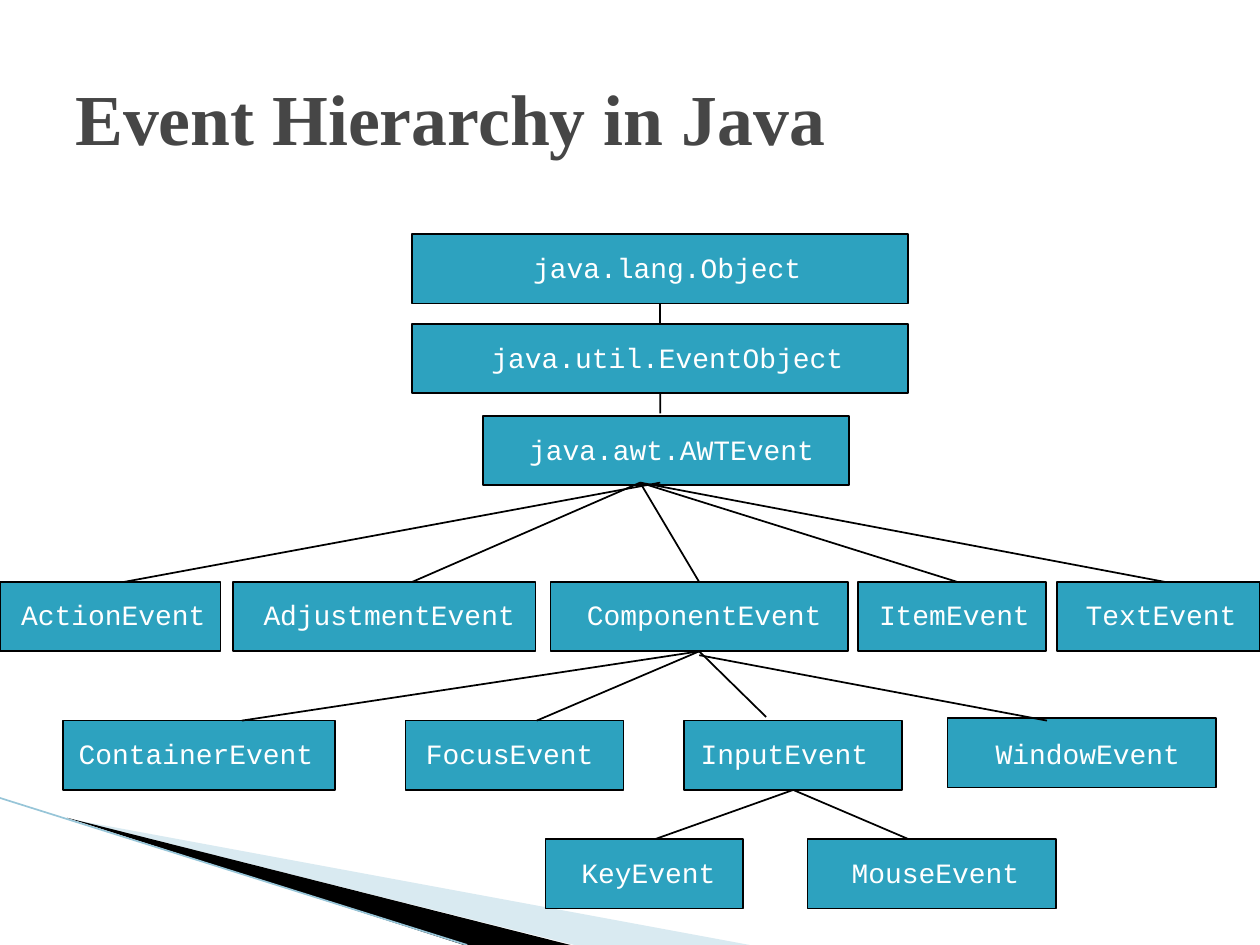
"""Build a slide with the event class hierarchy of Java."""
from dataclasses import dataclass

from lxml import etree
from pptx import Presentation
from pptx.dml.color import RGBColor
from pptx.enum.shapes import MSO_CONNECTOR, MSO_SHAPE
from pptx.enum.text import MSO_ANCHOR, PP_ALIGN
from pptx.oxml.ns import qn
from pptx.util import Pt

RECT = MSO_SHAPE.RECTANGLE
LINE = MSO_CONNECTOR.STRAIGHT
MID, TOP = MSO_ANCHOR.MIDDLE, MSO_ANCHOR.TOP
LEFT, MIDDLE = PP_ALIGN.LEFT, PP_ALIGN.CENTER
UP, DOWN = 0, 2


@dataclass(frozen=True)
class Theme:
    ink: str = "000000"
    box: str = "2DA2BF"
    pale: str = "A0CBDC"
    edge: str = "97C5D8"
    head: str = "464646"
    text: str = "FFFFFF"
    serif: str = "Times New Roman"
    mono: str = "Courier New"
    big: float = 41
    small: float = 16
    thin: float = 1
    tall: float = 39.6


class Deck:
    def __init__(self, theme):
        self.theme = theme
        self.file = Presentation()
        self.file.slide_width, self.file.slide_height = Pt(720), Pt(540)
        self.slide = self.file.slides.add_slide(self.file.slide_layouts[6])
        self.items = self.slide.shapes

    def paint(self, shape, color):
        shape.shadow.inherit = False
        shape.fill.solid()
        shape.fill.fore_color.rgb = RGBColor.from_string(color)

    def wedge(self, points, color, alpha=None):
        first, *rest = [(Pt(x), Pt(y)) for x, y in points]
        pen = self.items.build_freeform(*first, scale=1.0)
        pen.add_line_segments(rest)
        shape = pen.convert_to_shape()
        self.paint(shape, color)
        shape.line.fill.background()
        if alpha:
            tone = shape._element.spPr.find(qn("a:solidFill"))[0]
            etree.SubElement(tone, qn("a:alpha"), val=str(alpha * 1000))

    def label(self, text, area, font, color, align=MIDDLE, anchor=TOP):
        frame = self.items.add_textbox(*map(Pt, area)).text_frame
        for key, value in {"word_wrap": True, "vertical_anchor": anchor}.items():
            setattr(frame, key, value)
        para = frame.paragraphs[0]
        para.alignment = align
        run = para.add_run()
        run.text = text
        for key, value in font.items():
            setattr(run.font, key, value)
        run.font.color.rgb = RGBColor.from_string(color)

    def title(self, text, area):
        look = self.theme
        font = {"name": look.serif, "size": Pt(look.big), "bold": True}
        self.label(text, area, font, look.head, LEFT, MID)

    def node(self, text, top, base, left, width, start, span):
        look = self.theme
        shape = self.items.add_shape(
            RECT, Pt(left), Pt(top), Pt(width), Pt(look.tall))
        self.paint(shape, look.box)
        shape.line.color.rgb = RGBColor.from_string(look.ink)
        shape.line.width = Pt(look.thin)
        font = {"name": look.mono, "size": Pt(look.small)}
        self.label(text, (start, base, span, 26.6), font, look.text)
        return shape

    def link(self, start, end, color, width, source=None, target=None):
        wire = self.items.add_connector(LINE, *map(Pt, (*start, *end)))
        wire.line.color.rgb = RGBColor.from_string(color)
        wire.line.width = Pt(width)
        etree.SubElement(wire._element.spPr, qn("a:effectLst"))
        if source:
            wire.begin_connect(source, DOWN)
        if target:
            wire.end_connect(target, UP)


ROWS = [
    (133.9, 139.7, [("java.lang.Object", 235.4, 283.7, 243.4, 275.8)]),
    (185, 190.8, [("java.util.EventObject", 235.4, 283.7, 243.4, 275.8)]),
    (237.6, 243.4, [("java.awt.AWTEvent", 275.8, 209.5, 281.5, 204.5)]),
    (332.6, 337.7, [
        ("ActionEvent", 0, 126, 3.6, 122.4),
        ("AdjustmentEvent", 133.2, 172.8, 138.2, 168.5),
        ("ComponentEvent", 314.6, 169.9, 319.7, 165.6),
        ("ItemEvent", 490.3, 107.3, 493.2, 104.4),
        ("TextEvent", 604.1, 115.9, 607, 113)]),
    (411.8, 417.6, [
        ("ContainerEvent", 36, 155.5, 36, 151.9),
        ("FocusEvent", 231.8, 124.6, 230.4, 121.7),
        ("InputEvent", 391, 124.6, 387.4, 121.7)]),
    (410.4, 417.6, [("WindowEvent", 541.4, 153.4, 547.2, 149)]),
    (479.5, 485.3, [
        ("KeyEvent", 311.8, 113, 315.4, 110.2),
        ("MouseEvent", 461.5, 141.8, 465.8, 137.5)]),
]


def main():
    look = Theme()
    deck = Deck(look)
    deck.wedge([(39.6, 468), (428.4, 540), (328.3, 540)], look.pale, 40)
    deck.wedge([(38.2, 467.3), (326, 540), (265, 540)], look.ink)
    deck.link((0, 456), (267, 540), look.edge, 0.95)
    deck.title("Event Hierarchy in Java", (36, 21.6, 648, 90))

    nodes = {}
    for top, base, row in ROWS:
        for name, *cells in row:
            nodes[name] = deck.node(name, top, base, *cells)

    root = nodes["java.lang.Object"]
    event = nodes["java.util.EventObject"]
    part = nodes["ComponentEvent"]
    entry = nodes["InputEvent"]
    deck.link((377.3, 173.5), (377.3, 185), look.ink, 1.25, root, event)
    fork, hub, split = (365.8, 275.8), (399.6, 372.2), (453.3, 451.4)
    links = [
        ((377.3, 224.6), (377.3, 236.2), event, None),
        ((377.3, 275.8), (70.6, 332.6), None, None),
        (fork, (235.4, 332.6), None, None),
        (fork, (399.6, 332.6), None, part),
        (fork, (547.2, 332.6), None, None),
        (fork, (666, 332.6), None, None),
        (hub, (138.2, 411.8), part, None),
        (hub, (306.7, 411.8), part, None),
        (hub, (437.8, 409.7), part, None),
        ((399.6, 374.4), (598.3, 411.8), None, None),
        (split, (374.4, 479.5), entry, None),
        (split, (519.1, 479.5), entry, None),
    ]
    for start, end, source, target in links:
        deck.link(start, end, look.ink, look.thin, source, target)
    deck.file.save("out.pptx")


if __name__ == "__main__":
    main()
